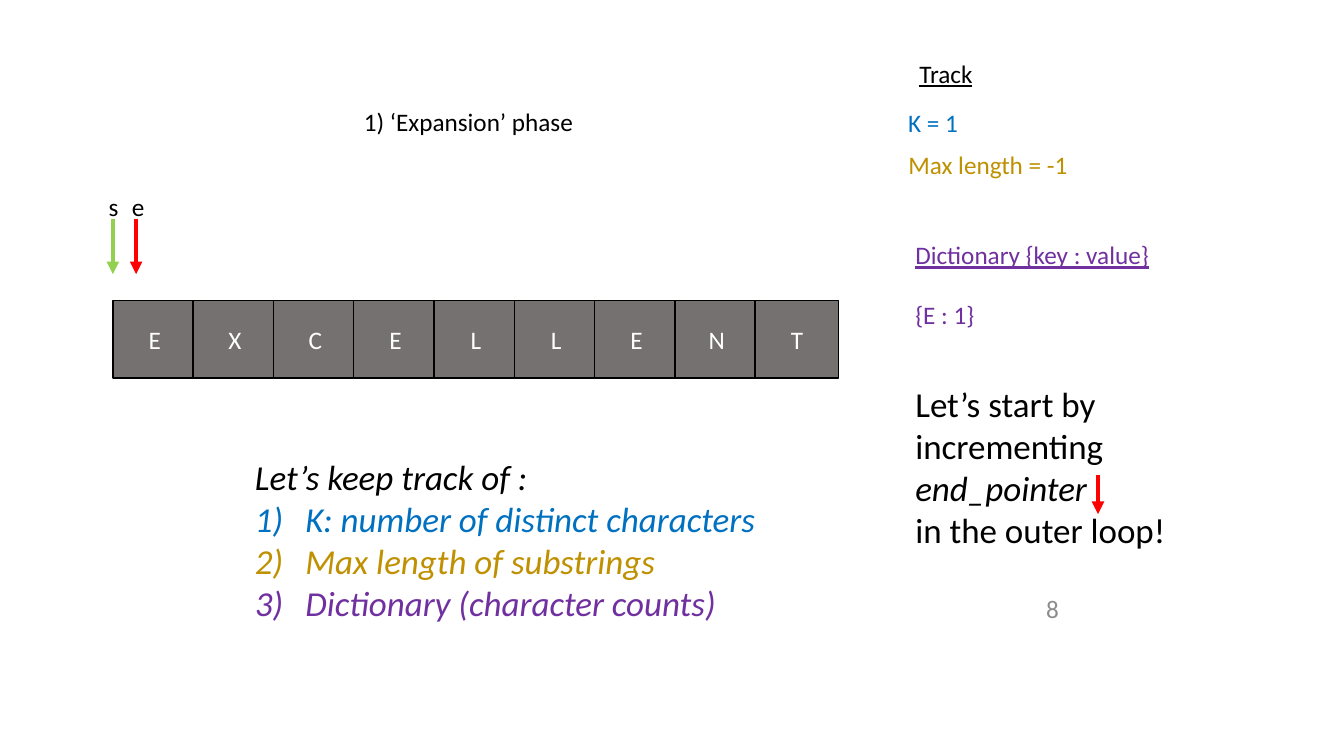
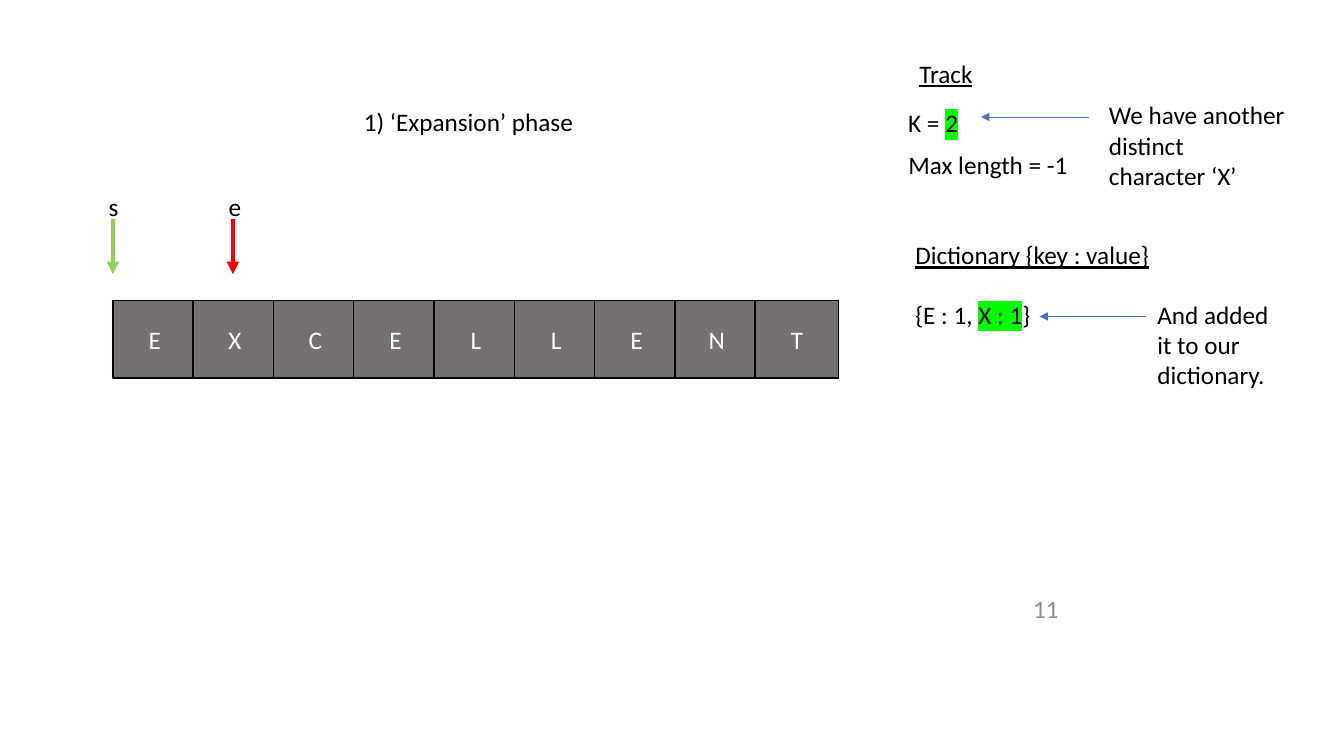
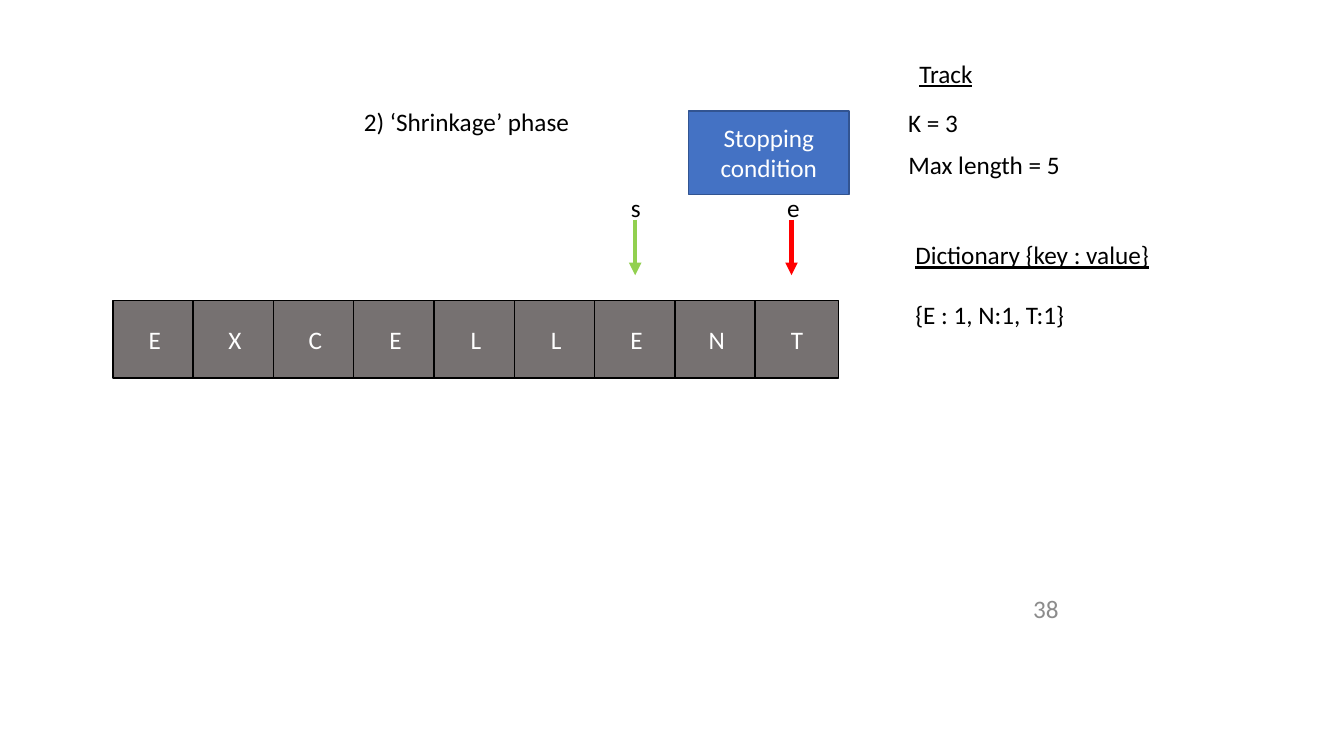
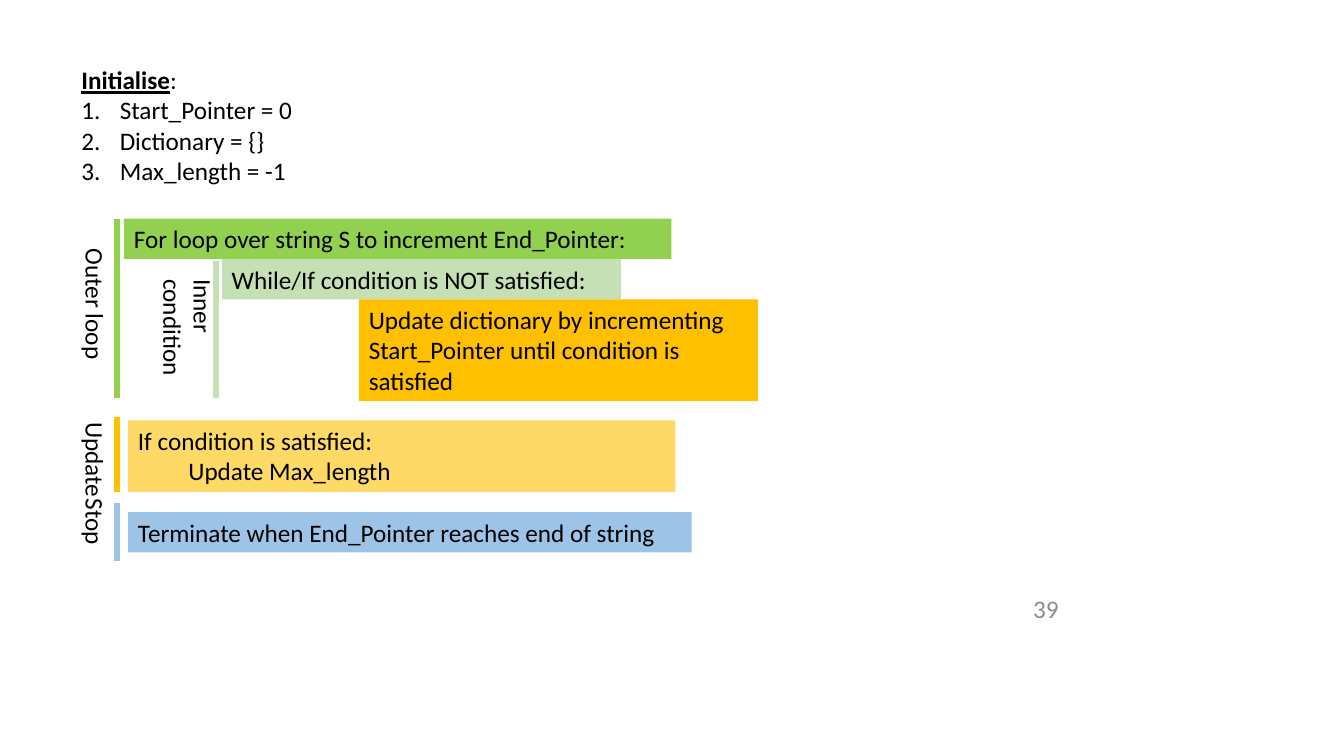
from dataclasses import dataclass

from lxml.etree import SubElement
from pptx import Presentation
from pptx.dml.color import RGBColor
from pptx.enum.shapes import MSO_CONNECTOR as CONN, MSO_SHAPE as SHAPE
from pptx.enum.text import MSO_ANCHOR as ANCHOR, MSO_AUTO_SIZE as AUTO, PP_ALIGN as ALIGN
from pptx.oxml.ns import qn
from pptx.util import Inches, Pt


@dataclass(frozen=True)
class Theme:
    font: str = "Calibri"
    body: int = 18
    large: int = 25
    black: str = "000000"
    white: str = "FFFFFF"
    grey: str = "8C8C8C"
    cell: str = "767171"
    blue: str = "0070C0"
    gold: str = "BF9000"
    purple: str = "7030A0"
    accent: str = "4472C4"
    accent_edge: str = "325491"
    start: str = "92D050"
    end: str = "FF0000"
    mark: str = "00FF00"
    pale_green: str = "C5E0B4"
    amber: str = "FFC000"
    pale_amber: str = "FFD966"
    pale_blue: str = "9DC3E6"


T = Theme()

# Content: a paragraph is a string or a list of (text, format) runs
WORD = "EXCELLENT"
EXPANSION = "1) ‘Expansion’ phase"

STEPS = [
    dict(
        number=8, phase=EXPANSION, k="K = 1", longest="Max length = -1",
        counts="{E : 1}", colors=(T.blue, T.gold, T.purple),
        pointers=(1.12, 1.35), pointer_top=2.17,
    ),
    dict(
        number=11, phase=EXPANSION, k=[("K = ", {}), ("2", dict(mark=T.mark))],
        longest="Max length = -1",
        counts=[("{E : 1, ", {}), ("X : 1", dict(mark=T.mark)), ("}", {})],
        colors=(T.black,) * 3, pointers=(1.12, 2.31), pointer_top=2.17,
    ),
    dict(
        number=38, phase="2) ‘Shrinkage’ phase", k="K = 3", longest="Max length = 5",
        counts="{E : 1, N:1, T:1}", colors=(T.black,) * 3,
        pointers=(6.3, 7.85), pointer_top=2.18,
    ),
]

TRACKED = [
    "Let’s keep track of :",
    [("K: number of distinct characters", dict(color=T.blue))],
    [("Max length of substrings", dict(color=T.gold))],
    [("Dictionary (character counts)", dict(color=T.purple))],
]
FIRST_MOVE = [
    [("Let’s start by incrementing ", {}), ("end_pointer", dict(italic=True))],
    "in the outer loop!",
]
# Text, text box, arrow from x, arrow to x, arrow y
CALLOUTS = [
    (["We have another distinct character ‘X’"], (10.9, 0.94, 1.95, 1.01), 10.8, 9.73, 1.16),
    (["And added", "it to our dictionary."], (11.38, 2.92, 1.95, 1.01), 11.37, 10.31, 3.14),
]

INITIALISE = [
    [("Initialise", dict(bold=True, underline=True)), (":", {})],
    "Start_Pointer = 0",
    "Dictionary = {}",
    "Max_length = -1",
]
CODE_BLOCKS = [
    (["For loop over string S to increment End_Pointer:"], (1.23, 2.17, 5.43, 0.4), T.start),
    (["While/If condition is NOT satisfied:"], (2.2, 2.57, 3.96, 0.4), T.pale_green),
    (["If condition is satisfied:", "\tUpdate Max_length"], (1.27, 4.17, 5.43, 0.71), T.pale_amber),
    (["Terminate when End_Pointer reaches end of string"], (1.27, 5.08, 5.59, 0.4), T.pale_blue),
    (["Update dictionary by incrementing", "Start_Pointer until condition is satisfied"],
     (3.56, 2.97, 3.96, 1.01), T.amber),
]
# Label, label box, bar x, bar top, bar bottom, bar colour
BRACKETS = [
    ("Outer loop", (0.65, 2.37, 0.5, 1.58), 1.16, 2.17, 3.95, T.start),
    ("Inner condition", (1.41, 2.67, 0.81, 1.18), 2.14, 2.59, 3.95, T.pale_green),
    ("Update", (0.65, 4.09, 0.5, 1.58), 1.16, 4.14, 4.88, T.amber),
    ("Stop", (0.65, 4.85, 0.5, 1.58), 1.16, 4.99, 5.57, T.pale_blue),
]


# Helpers
def rgb(color):
    return RGBColor.from_string(color)


def format_run(r, color=T.black, size=T.body, bold=False, italic=False, underline=False, mark=None):
    f = r.font
    f.size, f.bold, f.italic, f.underline = Pt(size), bold, italic, underline
    f.color.rgb = rgb(color)
    if mark:
        highlight = SubElement(r._r.get_or_add_rPr(), qn("a:highlight"))
        SubElement(highlight, qn("a:srgbClr")).set("val", mark)
    f.name = T.font


def number_paragraph(p, style, indent):
    pPr = p._p.get_or_add_pPr()
    pPr.set("marL", str(Inches(indent)))
    pPr.set("indent", str(-Inches(indent)))
    SubElement(pPr, qn("a:buFont")).set("typeface", "+mj-lt")
    SubElement(pPr, qn("a:buAutoNum")).set("type", style)


def write(sp, paragraphs, align=ALIGN.LEFT, anchor=ANCHOR.TOP, grow=True,
          vertical=False, numbering=None, **fmt):
    """Fill a shape with text; numbering applies after the first paragraph."""
    tf = sp.text_frame
    tf.word_wrap, tf.vertical_anchor = True, anchor
    tf.auto_size = AUTO.SHAPE_TO_FIT_TEXT if grow else AUTO.NONE
    if vertical:
        tf._txBody.bodyPr.set("vert", "eaVert")
    for i, runs in enumerate(paragraphs):
        p = tf.paragraphs[0] if i == 0 else tf.add_paragraph()
        p.alignment = align
        if numbering and i:
            number_paragraph(p, *numbering)
        for text, extra in [(runs, {})] if isinstance(runs, str) else runs:
            r = p.add_run()
            r.text = text
            format_run(r, **{**fmt, **extra})


def add_text(s, paragraphs, box, **fmt):
    write(s.shapes.add_textbox(*map(Inches, box)), paragraphs, **fmt)


def add_box(s, paragraphs, box, fill, line=None, **fmt):
    sp = s.shapes.add_shape(SHAPE.RECTANGLE, *map(Inches, box))
    sp.shadow.inherit = False
    sp.fill.solid()
    sp.fill.fore_color.rgb = rgb(fill)
    if line:
        sp.line.color.rgb, sp.line.width = rgb(line), Pt(1)
    else:
        sp.line.fill.background()
    write(sp, paragraphs, **fmt)


def add_line(s, x1, y1, x2, y2, color, width, arrow=True):
    c = s.shapes.add_connector(CONN.STRAIGHT, *map(Inches, (x1, y1, x2, y2)))
    c.line.color.rgb, c.line.width = rgb(color), Pt(width)
    if arrow:
        SubElement(c.line._get_or_add_ln(), qn("a:tailEnd")).set("type", "triangle")
    SubElement(c._element.spPr, qn("a:effectLst"))


# Shared slide parts
def new_slide(prs, number):
    s = prs.slides.add_slide(prs.slide_layouts[6])
    add_text(s, [str(number)], (7.6, 5.84, 3, 0.4), color=T.grey,
             align=ALIGN.RIGHT, anchor=ANCHOR.MIDDLE, grow=False)
    return s


def add_word(s):
    left, row_width, cell_width = 1.12, 7.2, 0.83
    pitch = (row_width - cell_width) / (len(WORD) - 1)
    for i, letter in enumerate(WORD):
        add_box(s, [letter], (left + i * pitch, 2.98, cell_width, 0.77), T.cell, T.black,
                color=T.white, align=ALIGN.CENTER, anchor=ANCHOR.MIDDLE, grow=False)


def add_step(prs, step):
    s = new_slide(prs, step["number"])
    add_word(s)
    k_color, length_color, dict_color = step["colors"]
    add_text(s, [step["phase"]], (3.51, 1.01, 3.81, 0.4))
    add_text(s, ["Track"], (9.02, 0.53, 2.38, 0.4), underline=True)
    add_text(s, [step["k"]], (8.91, 1.02, 1.74, 0.4), color=k_color)
    add_text(s, [step["longest"]], (8.91, 1.43, 3.22, 0.4), color=length_color)
    add_text(s, ["Dictionary {key : value}"], (8.98, 2.33, 3, 0.4), color=dict_color, underline=True)
    add_text(s, [step["counts"]], (8.98, 2.92, 2.44, 0.4), color=dict_color)
    top = step["pointer_top"]
    for name, x, color in zip("se", step["pointers"], (T.start, T.end)):
        add_line(s, x, top, x, top + 0.55, color, 3)
        add_text(s, [name], (x - 0.14, top - 0.32, 0.2, 0.4))
    return s


def add_summary(prs):
    s = new_slide(prs, 39)
    add_text(s, INITIALISE, (0.71, 0.59, 4.64, 1.31), numbering=("arabicPeriod", 0.38))
    for paragraphs, box, fill in CODE_BLOCKS:
        add_box(s, paragraphs, box, fill)
    for label, box, x, top, bottom, color in BRACKETS:
        add_line(s, x, top, x, bottom, color, 4.5, arrow=False)
        add_text(s, [label], box, vertical=True)


def main():
    prs = Presentation()
    prs.slide_width, prs.slide_height = Inches(13.33), Inches(7.5)
    first, second, third = [add_step(prs, step) for step in STEPS]

    # What to track and the first move
    add_text(first, TRACKED, (2.43, 4.47, 7.18, 1.78), size=T.large, italic=True,
             numbering=("arabicParenR", 0.5))
    add_text(first, FIRST_MOVE, (8.98, 3.75, 2.99, 1.78), size=T.large)
    add_line(first, 10.89, 4.71, 10.89, 5.1, T.end, 3)

    # Callouts on the new character
    for paragraphs, box, x1, x2, y in CALLOUTS:
        add_line(second, x1, y, x2, y, T.accent, 0.5)
        add_text(second, paragraphs, box)

    # Stopping condition
    add_box(third, ["Stopping condition"], (6.83, 1.1, 1.59, 0.83), T.accent, T.accent_edge,
            color=T.white, align=ALIGN.CENTER, anchor=ANCHOR.MIDDLE, grow=False)

    add_summary(prs)
    prs.save("out.pptx")


if __name__ == "__main__":
    main()
